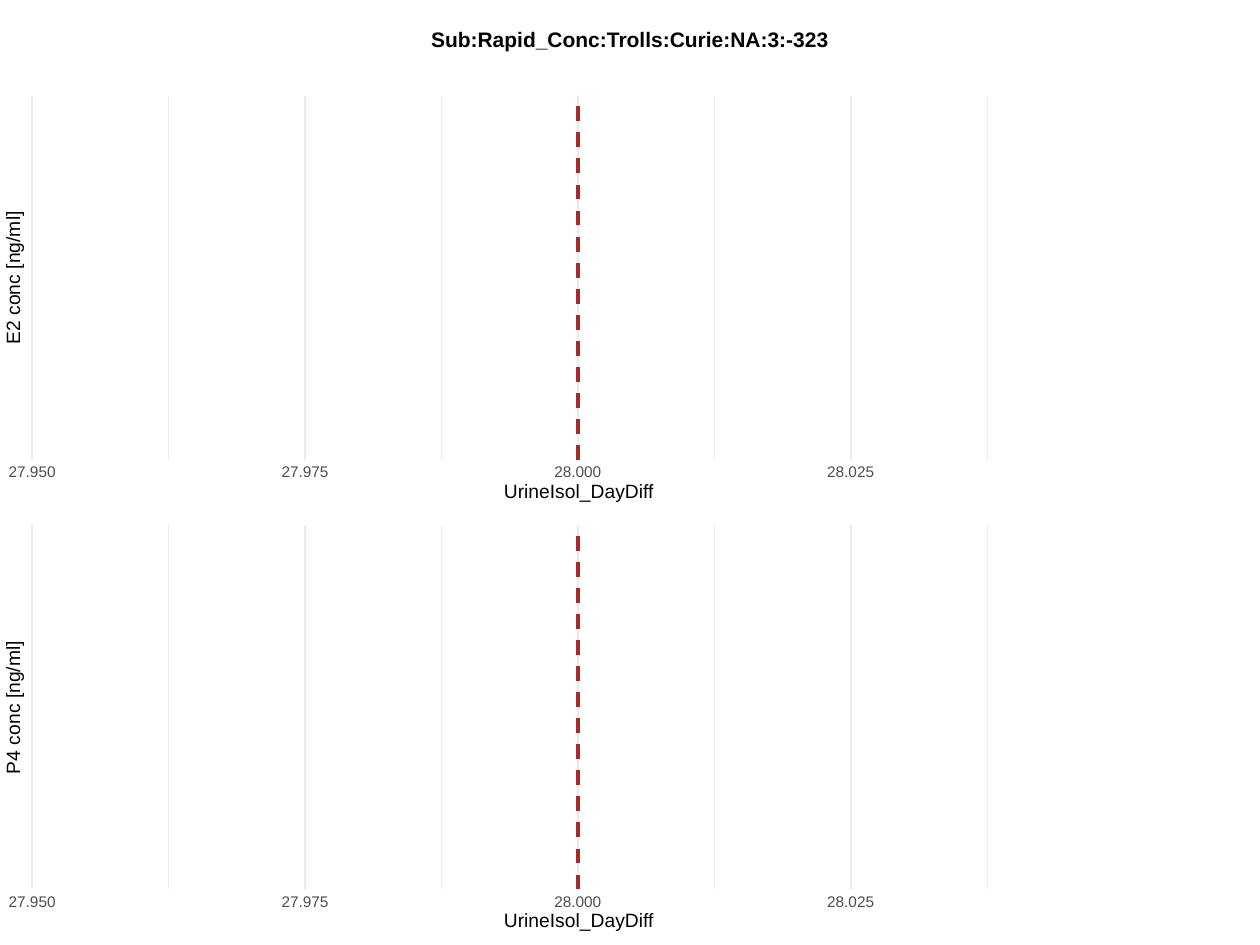
from pptx import Presentation
from pptx.dml.color import RGBColor
from pptx.enum.dml import MSO_LINE
from pptx.enum.shapes import MSO_CONNECTOR
from pptx.enum.text import MSO_ANCHOR, MSO_AUTO_SIZE, PP_ALIGN
from pptx.oxml.ns import qn
from pptx.util import Cm, Pt
from lxml.etree import SubElement

INK = {"text": "000000", "tick": "4D4D4D", "grid": "EBEBEB", "mark": "A52A2A"}
LEFT, TOP, HIGH = 0.65, 1.93, 7.34
STEP = 2.75  # between neighbouring grid lines
PITCH = 8.66  # from one panel to the next

deck = Presentation()
deck.slide_width, deck.slide_height = Cm(25.4), Cm(19.05)
slide = deck.slides.add_slide(deck.slide_layouts[5])


def label(text, x, y, wide, high, size, ink="text", bold=False, box=None):
    """Centre text on the point x, y, in a new text box unless one is given."""
    if box is None:
        box = slide.shapes.add_textbox(0, 0, 0, 0)
    box.left, box.top = Cm(x - wide / 2), Cm(y - high / 2)
    box.width, box.height = Cm(wide), Cm(high)
    frame = box.text_frame
    frame.margin_left = frame.margin_right = 0
    frame.margin_top = frame.margin_bottom = 0
    frame.auto_size = MSO_AUTO_SIZE.NONE
    frame.word_wrap = False
    frame.vertical_anchor = MSO_ANCHOR.MIDDLE
    para = frame.paragraphs[0]
    para.alignment = PP_ALIGN.CENTER
    para.line_spacing = Pt(size)
    run = para.add_run()
    run.text = text
    run.font.name, run.font.size, run.font.bold = "Arial", Pt(size), bold
    run.font.color.rgb = RGBColor.from_string(INK[ink])
    return box


def rule(x, top, weight, ink="grid"):
    """Draw an upright line over the full height of a panel."""
    line = slide.shapes.add_connector(
        MSO_CONNECTOR.STRAIGHT, Cm(x), Cm(top + HIGH), Cm(x), Cm(top))
    line.line.width = Pt(weight)
    line.line.color.rgb = RGBColor.from_string(INK[ink])
    SubElement(line._element.spPr, qn("a:effectLst"))
    return line


label("Sub:Rapid_Conc:Trolls:Curie:NA:3:-323", 12.7, 0.83, 8.05, 0.38, 12,
      bold=True, box=slide.shapes.title)

for row, name in enumerate(["E2 conc [ng/ml]", "P4 conc [ng/ml]"]):
    top = TOP + row * PITCH
    for i in range(4):
        rule(LEFT + (2 * i + 1) * STEP, top, 0.53)
    for i in range(4):
        rule(LEFT + 2 * i * STEP, top, 1.07)
    mid = LEFT + 4 * STEP
    rule(mid, top, 2.13, "mark").line.dash_style = MSO_LINE.DASH

    for i, tick in enumerate(["27.950", "27.975", "28.000", "28.025"]):
        label(tick, LEFT + 2 * i * STEP, top + 7.61, 0.94, 0.23, 8.8, "tick")
    label("UrineIsol_DayDiff", mid + 0.02, top + 8, 3.02, 0.36, 11)
    label(name, 0.29, top + HIGH / 2, 2.67, 0.36, 11).rotation = 270

deck.save("out.pptx")
